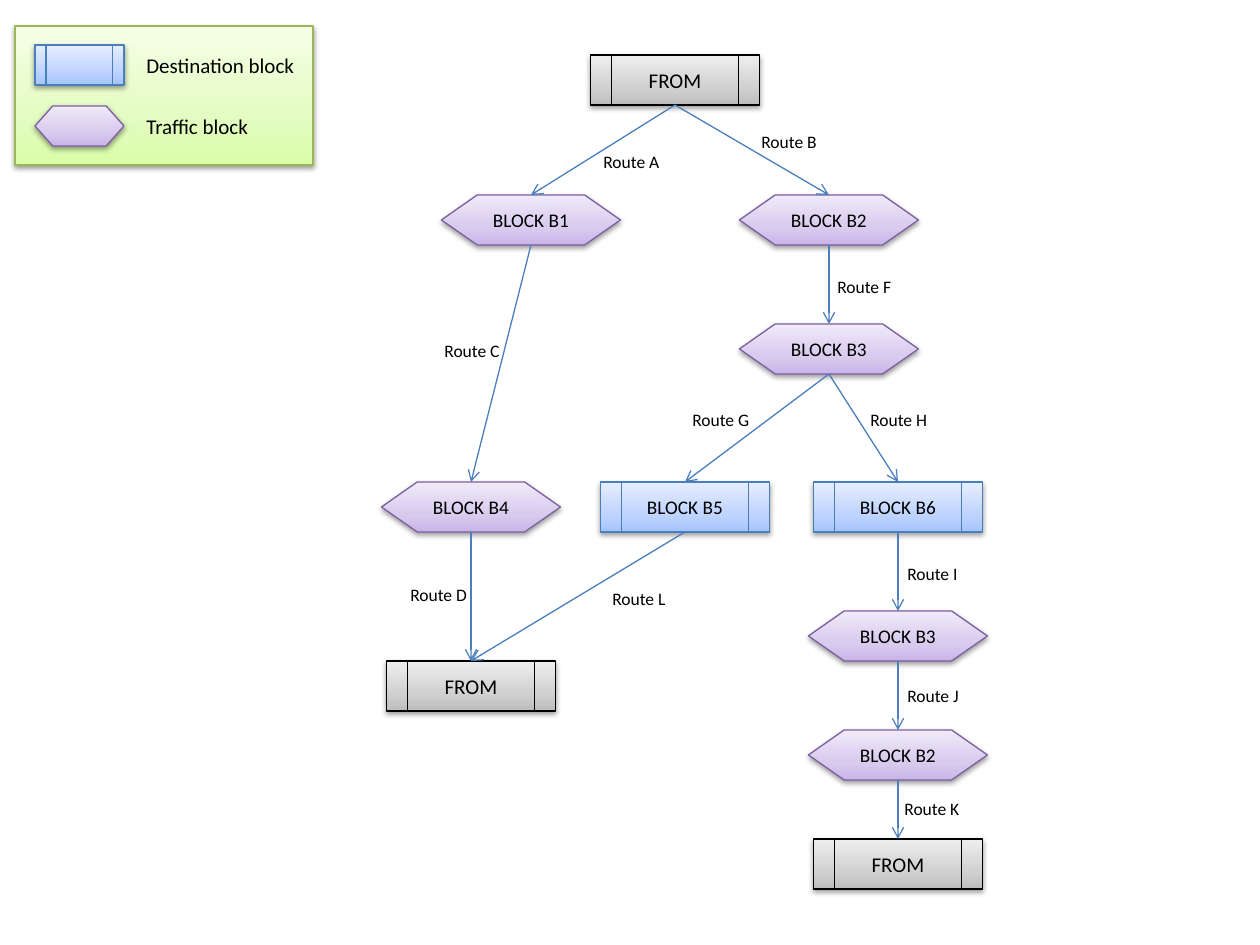
from lxml.etree import SubElement
from pptx import Presentation
from pptx.dml.color import RGBColor
from pptx.enum.shapes import MSO_CONNECTOR, MSO_SHAPE
from pptx.enum.text import MSO_ANCHOR, MSO_AUTO_SIZE, PP_ALIGN
from pptx.oxml.ns import qn
from pptx.util import Emu, Pt

SCALE = 914400 / 126
NODE_H = 50
PROCESS = MSO_SHAPE.FLOWCHART_PREDEFINED_PROCESS
HEXAGON = MSO_SHAPE.FLOWCHART_PREPARATION

# Gradient from bottom to top, then the outline colour
GRAY = ("BDBDBD", "D1D1D1", "EEEEEE"), "000000"
BLUE = ("A4C4FF", "BFD4FF", "E6EEFF"), "4B7EBC"
PURPLE = ("C9B5E8", "D8CBEE", "F0EAF9"), "7D60A0"
GREEN = ("DAFDA7", "E4FCC2", "F5FFE7"), "98B955"

# Kind of node: preset shape, palette, width, text size
TERMINAL = PROCESS, GRAY, 169, 12
DESTINATION = PROCESS, BLUE, 169, 11
TRAFFIC = HEXAGON, PURPLE, 179, 11

# Key: kind, text, centre x, top
NODES = {
    "start": (TERMINAL, "FROM", 675, 55),
    "b1": (TRAFFIC, "BLOCK B1", 531, 195),
    "b2": (TRAFFIC, "BLOCK B2", 829, 195),
    "b3": (TRAFFIC, "BLOCK B3", 829, 324),
    "b4": (TRAFFIC, "BLOCK B4", 471, 482),
    "b5": (DESTINATION, "BLOCK B5", 685, 482),
    "b6": (DESTINATION, "BLOCK B6", 898, 482),
    "left_end": (TERMINAL, "FROM", 471, 661),
    "b3_again": (TRAFFIC, "BLOCK B3", 898, 611),
    "b2_again": (TRAFFIC, "BLOCK B2", 898, 730),
    "right_end": (TERMINAL, "FROM", 898, 839),
}

# From, to, route letter, label left, top, width
ROUTES = [
    ("start", "b1", "A", 591, 145, 82),
    ("start", "b2", "B", 749, 125, 82),
    ("b1", "b4", "C", 432, 334, 82),
    ("b4", "left_end", "D", 398, 578, 83),
    ("b2", "b3", "F", 825, 270, 83),
    ("b3", "b5", "G", 680, 403, 83),
    ("b3", "b6", "H", 858, 403, 83),
    ("b6", "b3_again", "I", 895, 557, 77),
    ("b3_again", "b2_again", "J", 895, 679, 78),
    ("b2_again", "right_end", "K", 892, 792, 82),
    ("b5", "left_end", "L", 600, 582, 82),
]


def px(n):
    """Turn pixels into EMU."""
    return Emu(round(n * SCALE))


def rgb(color):
    """Make a colour from a hex string."""
    return RGBColor.from_string(color)


def add_run(p, text, size):
    """Add one black Calibri run to a paragraph."""
    r = p.add_run()
    r.text = text
    r.font.name = "Calibri"
    r.font.size = Pt(size)
    r.font.color.rgb = rgb("000000")


def add_gradient(sp, colors):
    """Fill a shape with three stops running upwards."""
    sp.fill.gradient()
    grad = sp._element.spPr.find(qn("a:gradFill"))
    for child in list(grad):
        grad.remove(child)
    stops = SubElement(grad, qn("a:gsLst"))
    for pos, color in zip((0, 35000, 100000), colors):
        gs = SubElement(stops, qn("a:gs"), pos=str(pos))
        SubElement(gs, qn("a:srgbClr"), val=color)
    SubElement(grad, qn("a:lin"), ang="16200000", scaled="0")


def add_shadow(sp):
    """Give a shape a soft shadow just below it."""
    sp.shadow.inherit = False
    effects = sp._element.spPr.find(qn("a:effectLst"))
    outer = SubElement(effects, qn("a:outerShdw"), blurRad="40000",
                       dist="20000", dir="5400000", rotWithShape="0")
    black = SubElement(outer, qn("a:srgbClr"), val="000000")
    SubElement(black, qn("a:alpha"), val="38000")


def add_block(s, preset, palette, x, y, w, h):
    """Add a shaded preset shape."""
    colors, line = palette
    sp = s.shapes.add_shape(preset, px(x), px(y), px(w), px(h))
    add_gradient(sp, colors)
    sp.line.color.rgb = rgb(line)
    sp.line.width = Pt(0.75)
    add_shadow(sp)
    return sp


def add_node(s, kind, text, cx, y):
    """Add a flow chart node centred on cx."""
    preset, palette, w, size = kind
    sp = add_block(s, preset, palette, cx - w / 2, y, w, NODE_H)
    tf = sp.text_frame
    tf.vertical_anchor = MSO_ANCHOR.MIDDLE
    p = tf.paragraphs[0]
    p.alignment = PP_ALIGN.CENTER
    add_run(p, text, size)
    return sp


def add_arrow(s, start, end):
    """Connect the bottom of one node to the top of another."""
    c = s.shapes.add_connector(MSO_CONNECTOR.STRAIGHT, 0, 0, 0, 0)
    c.begin_connect(start, 2)
    c.end_connect(end, 0)
    c.line.color.rgb = rgb("4B7EBC")
    c.line.width = Pt(0.75)
    SubElement(c.line._get_or_add_ln(), qn("a:tailEnd"), type="arrow")
    SubElement(c._element.spPr, qn("a:effectLst"))


def add_label(s, text, x, y, w, h, size):
    """Add a one-line text box."""
    tf = s.shapes.add_textbox(px(x), px(y), px(w), px(h)).text_frame
    tf.word_wrap = False
    tf.auto_size = MSO_AUTO_SIZE.SHAPE_TO_FIT_TEXT
    add_run(tf.paragraphs[0], text, size)


def add_legend(s):
    """Add the legend panel with its two entries."""
    add_block(s, MSO_SHAPE.RECTANGLE, GREEN, 15, 26, 298, 139)
    entries = [(DESTINATION, "Destination block", 45, 175),
               (TRAFFIC, "Traffic block", 106, 129)]
    for (preset, palette, _, _), text, y, w in entries:
        add_block(s, preset, palette, 35, y, 89, 40)
        add_label(s, text, 134, y + 1, w, 38, 12)


def main():
    """Build the slide and save it."""
    prs = Presentation()
    prs.slide_width, prs.slide_height = px(1260), px(945)
    s = prs.slides.add_slide(prs.slide_layouts[6])
    add_legend(s)
    nodes = {key: add_node(s, *node) for key, node in NODES.items()}
    for start, end, letter, x, y, w in ROUTES:
        add_arrow(s, nodes[start], nodes[end])
        add_label(s, f"Route {letter}", x, y, w, 34, 10)
    prs.save("out.pptx")


main()
